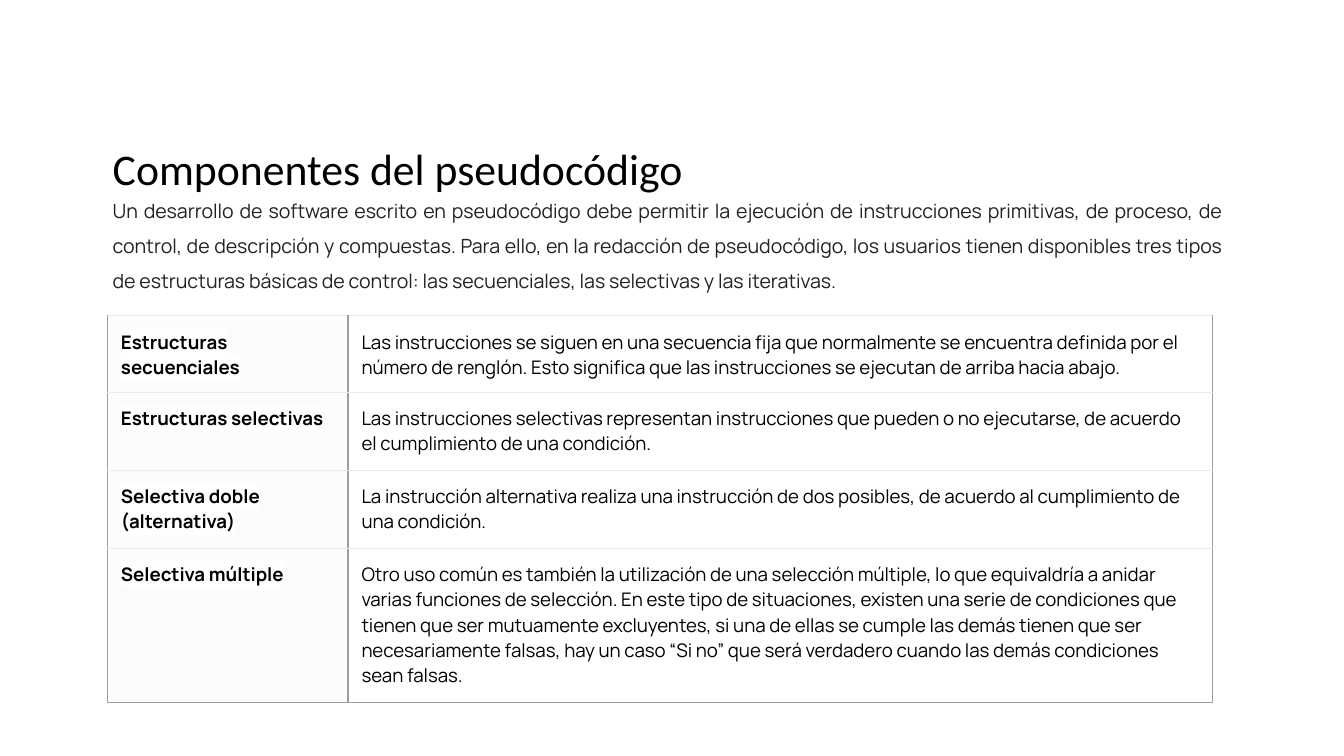
from lxml import etree
from pptx import Presentation
from pptx.dml.color import RGBColor
from pptx.enum.text import MSO_ANCHOR, PP_ALIGN
from pptx.oxml.ns import qn
from pptx.util import Inches, Pt

TOP = MSO_ANCHOR.TOP
LEFT, JUSTIFY = PP_ALIGN.LEFT, PP_ALIGN.JUSTIFY
BLACK = RGBColor(0x00, 0x00, 0x00)
CHARCOAL = RGBColor(0x22, 0x22, 0x22)
WHITE = RGBColor(0xFF, 0xFF, 0xFF)
CREAM = RGBColor(0xFC, 0xFC, 0xFA)
GRAY = RGBColor(0x9E, 0x9E, 0x9E)
PALE = RGBColor(0xEB, 0xEB, 0xEB)

TITLE = "Componentes del pseudocódigo"
INTRO = (
    "Un desarrollo de software escrito en pseudocódigo debe permitir la ejecución de "
    "instrucciones primitivas, de proceso, de control, de descripción y compuestas. Para ello, "
    "en la redacción de pseudocódigo, los usuarios tienen disponibles tres tipos de estructuras "
    "básicas de control: las secuenciales, las selectivas y las iterativas."
)
STRUCTURES = [
    ("Estructuras secuenciales",
     "Las instrucciones se siguen en una secuencia fija que normalmente se encuentra definida por "
     "el número de renglón. Esto significa que las instrucciones se ejecutan de arriba hacia abajo."),
    ("Estructuras selectivas",
     "Las instrucciones selectivas representan instrucciones que pueden o no ejecutarse, de "
     "acuerdo el cumplimiento de una condición."),
    ("Selectiva doble (alternativa)",
     "La instrucción alternativa realiza una instrucción de dos posibles, de acuerdo al "
     "cumplimiento de una condición."),
    ("Selectiva múltiple",
     "Otro uso común es también la utilización de una selección múltiple, lo que equivaldría a "
     "anidar varias funciones de selección. En este tipo de situaciones, existen una serie de "
     "condiciones que tienen que ser mutuamente excluyentes, si una de ellas se cumple las demás "
     "tienen que ser necesariamente falsas, hay un caso “Si no” que será verdadero cuando las "
     "demás condiciones sean falsas."),
]
COLUMN_WIDTHS = [1.79, 6.43]
ROW_HEIGHTS = [0.57, 0.58, 0.58, 1.15]
MARGIN = Inches(0.1)


def set_margins(holder):
    holder.margin_left = holder.margin_right = MARGIN
    holder.margin_top = holder.margin_bottom = MARGIN


def write(para, text, size, color, font="Manrope", bold=False, highlight=None):
    span = para.add_run()
    span.text = text
    span.font.size = Pt(size)
    span.font.bold = bold
    span.font.color.rgb = color
    if highlight is not None:
        mark = etree.SubElement(span.font._element, qn("a:highlight"))
        etree.SubElement(mark, qn("a:srgbClr"), val=str(highlight))
    span.font.name = font


def add_text(page, place, text, size, color, spacing, align=LEFT, **style):
    box = page.shapes.add_textbox(*map(Inches, place))
    frame = box.text_frame
    frame.word_wrap = True
    frame.vertical_anchor = TOP
    set_margins(frame)
    para = frame.paragraphs[0]
    para.alignment = align
    para.line_spacing = spacing
    write(para, text, size, color, **style)


def set_borders(cell, bottom):
    properties = cell._tc.get_or_add_tcPr()
    sides = [("L", GRAY, 0.75), ("R", GRAY, 0.75), ("T", PALE, 0.83), ("B", *bottom)]
    for side, color, width in sides:
        line = etree.SubElement(properties, qn(f"a:ln{side}"), w=str(Pt(width)))
        fill = etree.SubElement(line, qn("a:solidFill"))
        etree.SubElement(fill, qn("a:srgbClr"), val=str(color))


def add_structures(page):
    place = (0.8, 2.35, sum(COLUMN_WIDTHS), sum(ROW_HEIGHTS))
    table = page.shapes.add_table(
        len(STRUCTURES), len(COLUMN_WIDTHS), *map(Inches, place)).table
    table.first_row = table.horz_banding = False
    for column, width in zip(table.columns, COLUMN_WIDTHS):
        column.width = Inches(width)
    for row, height in zip(table.rows, ROW_HEIGHTS):
        row.height = Inches(height)
    for r, texts in enumerate(STRUCTURES):
        bottom = (GRAY, 0.75) if r == len(STRUCTURES) - 1 else (PALE, 0.83)
        for c, text in enumerate(texts):
            cell = table.cell(r, c)
            set_margins(cell)
            cell.vertical_anchor = TOP
            set_borders(cell, bottom)
            if c == 0:
                cell.fill.solid()
                cell.fill.fore_color.rgb = CREAM
            else:
                cell.fill.background()
            write(cell.text_frame.paragraphs[0], text, 10, BLACK,
                  bold=c == 0, highlight=WHITE)


def main():
    deck = Presentation()
    deck.slide_width = Inches(10)
    deck.slide_height = deck.slide_width * 9 // 16
    page = deck.slides.add_slide(deck.slide_layouts[6])
    add_text(page, (0.74, 1, 8.41, 0.59), TITLE, 23.4, BLACK, 0.9, font="Calibri")
    add_text(page, (0.74, 1.29, 8.46, 0.86), INTRO, 10.5, CHARCOAL, 1.5,
             align=JUSTIFY, highlight=WHITE)
    add_structures(page)
    deck.save("out.pptx")


if __name__ == "__main__":
    main()
